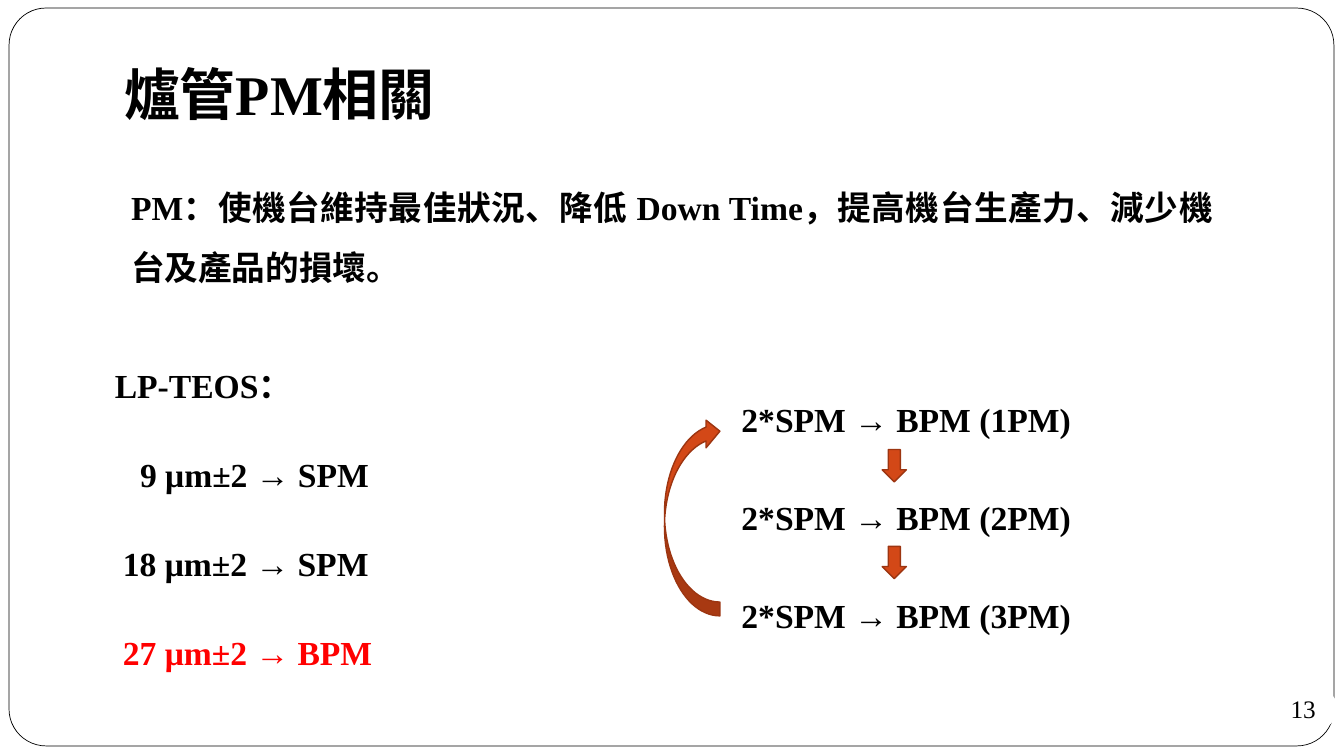
from pptx import Presentation
from pptx.dml.color import RGBColor
from pptx.enum.shapes import MSO_SHAPE
from pptx.enum.text import MSO_ANCHOR, MSO_AUTO_SIZE, PP_ALIGN
from pptx.util import Pt

PX = 9144
FONT = "Times New Roman"
BLACK = RGBColor(0x00, 0x00, 0x00)
WHITE = RGBColor(0xFF, 0xFF, 0xFF)
RED = RGBColor(0xFF, 0x00, 0x00)
ORANGE = RGBColor(0xD3, 0x48, 0x17)
BROWN = RGBColor(0x9C, 0x35, 0x11)
ROUNDED = MSO_SHAPE.ROUNDED_RECTANGLE
ELLIPSE = MSO_SHAPE.OVAL
DOWN_ARROW = MSO_SHAPE.DOWN_ARROW
CURVED_ARROW = MSO_SHAPE.CURVED_DOWN_ARROW
TOP, MIDDLE, BOTTOM = MSO_ANCHOR.TOP, MSO_ANCHOR.MIDDLE, MSO_ANCHOR.BOTTOM
LEFT, CENTER, RIGHT = PP_ALIGN.LEFT, PP_ALIGN.CENTER, PP_ALIGN.RIGHT
JUSTIFY = PP_ALIGN.JUSTIFY
NO_FIT = MSO_AUTO_SIZE.NONE

presentation = Presentation()
presentation.slide_width = 1333 * PX
presentation.slide_height = 750 * PX
slide = presentation.slides.add_slide(presentation.slide_layouts[1])


def add_filled_shape(kind, box, fill, line, width):
    shape = slide.shapes.add_shape(kind, *[value * PX for value in box])
    shape.shadow.inherit = False
    shape.fill.solid()
    shape.fill.fore_color.rgb = fill
    shape.line.color.rgb = line
    shape.line.width = Pt(width)
    return shape


def write_text(shape, text, size, align, anchor=TOP, spacing=1.0, gap=0, bold=True):
    frame = shape.text_frame
    frame.text = text
    frame.word_wrap = True
    frame.auto_size = NO_FIT
    frame.vertical_anchor = anchor
    for index, paragraph in enumerate(frame.paragraphs):
        paragraph.alignment = align
        paragraph.line_spacing = spacing
        paragraph.space_before = Pt(gap if index else 0)
        for run in paragraph.runs:
            run.font.name = FONT
            run.font.size = Pt(size)
            run.font.bold = bold
            run.font.color.rgb = BLACK
    return frame


title = slide.shapes.title
title.left, title.top, title.width, title.height = [
    value * PX for value in (113, 24, 850, 112)
]
title_frame = write_text(title, "爐管PM相關", 40, LEFT, BOTTOM)
title_frame.margin_bottom = 10 * PX

card = add_filled_shape(ROUNDED, (9, 8, 1314, 732), WHITE, BLACK, 0.5)
card.adjustments[0] = 0.05
title.element.addprevious(card.element)

body = slide.placeholders[1]
body.left, body.top, body.width, body.height = [
    value * PX for value in (120, 160, 1093, 125)
]
body_text = "PM：使機台維持最佳狀況、降低 Down Time，提高機台生產力、減少機台及產品的損壞。"
body_frame = write_text(body, body_text, 24, JUSTIFY, spacing=1.5)
properties = body_frame.paragraphs[0]._p.get_or_add_pPr()
properties.set("marL", "0")
properties.set("indent", "0")
properties.insert_element_before(
    properties.makeelement(
        "{http://schemas.openxmlformats.org/drawingml/2006/main}buNone", {}
    ),
    "a:tabLst", "a:defRPr", "a:extLst",
)

cycle_lines = [f"2*SPM → BPM ({number}PM)" for number in (1, 2, 3)]
cycle = slide.shapes.add_textbox(686 * PX, 391 * PX, 386 * PX, 252 * PX)
write_text(cycle, "\n".join(cycle_lines), 24, RIGHT, gap=41)

for arrow_top in (446, 542):
    add_filled_shape(DOWN_ARROW, (875, arrow_top, 24, 32), ORANGE, BROWN, 1)
return_arrow = add_filled_shape(CURVED_ARROW, (588, 485, 197, 55), ORANGE, BROWN, 1)
return_arrow.rotation = 270

badge = add_filled_shape(ELLIPSE, (1259, 678, 67, 50), WHITE, WHITE, 0.75)
badge_frame = write_text(badge, "13", 18, CENTER, MIDDLE, bold=False)
badge_frame.word_wrap = False
badge_frame.margin_left = badge_frame.margin_right = 0
badge_frame.margin_top = badge_frame.margin_bottom = 0

thickness_lines = [
    ("LP-TEOS：", 0),
    ("9 μm±2 → SPM", 25),
    ("18 μm±2 → SPM", 8),
    ("27 μm±2 → BPM", 8),
]
thickness = slide.shapes.add_textbox(104 * PX, 317 * PX, 502 * PX, 399 * PX)
thickness_text = "\n".join(text for text, indent in thickness_lines)
thickness_frame = write_text(thickness, thickness_text, 24, LEFT, spacing=2.0, gap=6)
for paragraph, (text, indent) in zip(thickness_frame.paragraphs, thickness_lines):
    paragraph._p.get_or_add_pPr().set("marL", str(indent * PX))
thickness_frame.paragraphs[-1].runs[0].font.color.rgb = RED

presentation.save("out.pptx")
